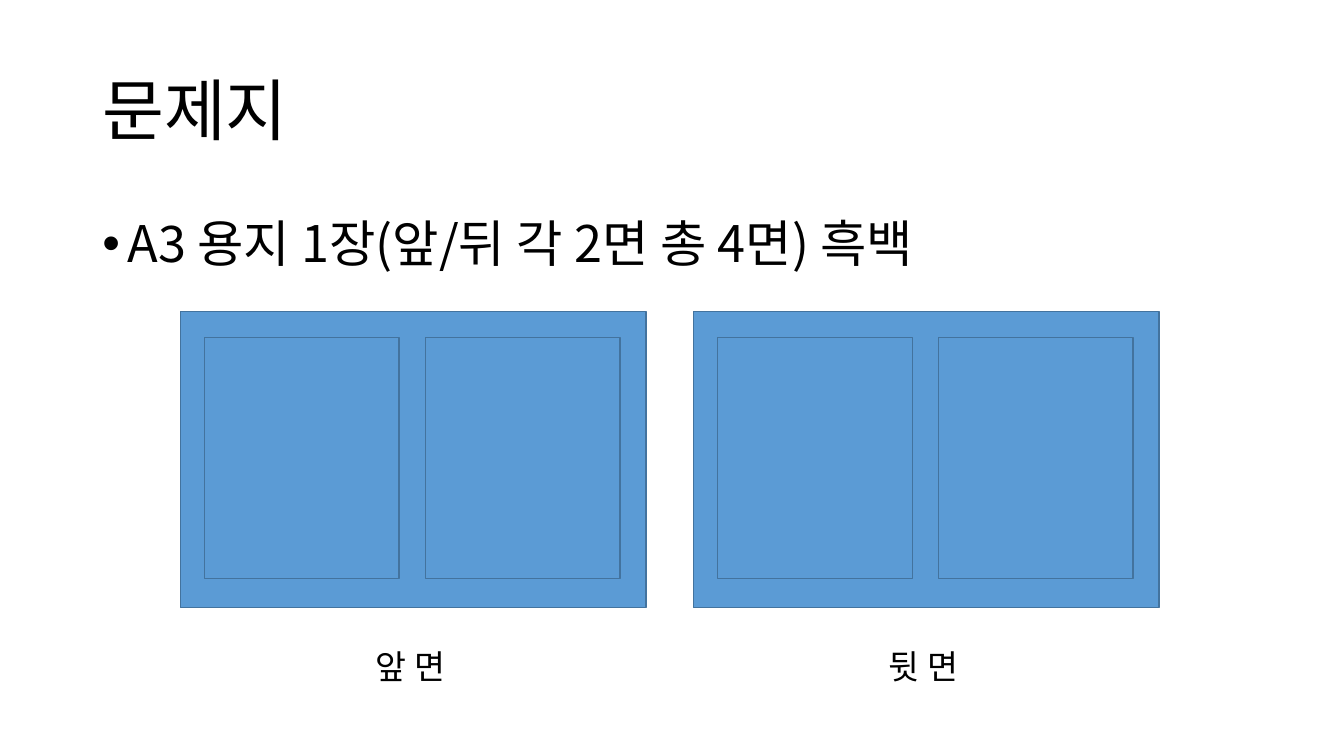
import pptx
import pptx.dml.color
import pptx.enum.shapes
import pptx.enum.text
import pptx.oxml
import pptx.oxml.ns
import pptx.util
from lxml import etree

FONT = "Noto Sans CJK KR"
COLORS = {"text": "000000", "paper": "5B9BD5", "edge": "43739E"}
COLUMNS, ROWS = 160, 90
MIDDLE = pptx.enum.text.MSO_ANCHOR.MIDDLE


def color(name):
    return pptx.dml.color.RGBColor.from_string(COLORS[name])


def write(frame, text, size, line_spacing=1.0, bullet=None, indent=0.25):
    paragraph = frame.paragraphs[0]
    paragraph.line_spacing = line_spacing
    if bullet:
        properties = paragraph._p.get_or_add_pPr()
        hanging = pptx.util.Inches(indent)
        properties.set("marL", str(hanging))
        properties.set("indent", str(-hanging))
        bullet_font = etree.SubElement(properties, pptx.oxml.ns.qn("a:buFont"))
        bullet_font.set("typeface", "Arial")
        etree.SubElement(properties, pptx.oxml.ns.qn("a:buChar")).set("char", bullet)
    run = paragraph.add_run()
    run.text = text
    run.font.size = pptx.util.Pt(size)
    run.font.name = FONT
    run.font.color.rgb = color("text")
    east_asian = etree.SubElement(run._r.get_or_add_rPr(), pptx.oxml.ns.qn("a:ea"))
    east_asian.set("typeface", FONT)


class ExamSlide:
    """Places elements on a slide measured in grid columns and rows."""

    def __init__(self, deck):
        self.column = deck.slide_width / COLUMNS
        self.row = deck.slide_height / ROWS
        self.slide = deck.slides.add_slide(deck.slide_layouts[6])

    def box(self, left, top, width, height):
        """Converts grid units to slide lengths."""
        return (round(left * self.column), round(top * self.row),
                round(width * self.column), round(height * self.row))

    def text(self, area, text, wrap=True, anchor=pptx.enum.text.MSO_ANCHOR.TOP, **style):
        frame = self.slide.shapes.add_textbox(*self.box(*area)).text_frame
        frame.word_wrap = wrap
        frame.vertical_anchor = anchor
        if not wrap:
            frame.auto_size = pptx.enum.text.MSO_AUTO_SIZE.SHAPE_TO_FIT_TEXT
        write(frame, text, **style)

    def panel(self, group, *area):
        panel = group.shapes.add_shape(
            pptx.enum.shapes.MSO_SHAPE.RECTANGLE, *self.box(*area))
        panel.shadow.inherit = False
        panel.fill.solid()
        panel.fill.fore_color.rgb = color("paper")
        panel.line.color.rgb = color("edge")
        panel.line.width = pptx.util.Pt(1)

    def sheet(self, left, top):
        """Draws one side of the paper with its two pages."""
        group = self.slide.shapes.add_group_shape()
        self.panel(group, left, top, 55.44, 35.28)
        for page in range(2):
            self.panel(group, left + 2.88 + page * 26.28, top + 3.12, 23.16, 28.68)


def main():
    deck = pptx.Presentation()
    deck.slide_width = pptx.util.Inches(13.33)
    deck.slide_height = pptx.util.Inches(7.5)

    exam = ExamSlide(deck)
    exam.text((11, 4.8, 138, 17.4), "문제지", size=48, line_spacing=0.9, anchor=MIDDLE)
    exam.text((11, 24, 138, 11.28), "A3 용지 1장(앞/뒤 각 2면 총 4면) 흑백",
              size=36, line_spacing=1.1, bullet="•")

    for side, caption in enumerate(("앞 면", "뒷 면")):
        left = 21.48 + side * 61.08
        exam.sheet(left, 37.08)
        exam.text((left + 22.08, 76.32, 12.48, 6), caption, wrap=False, size=24)

    deck.save("out.pptx")


if __name__ == "__main__":
    main()
